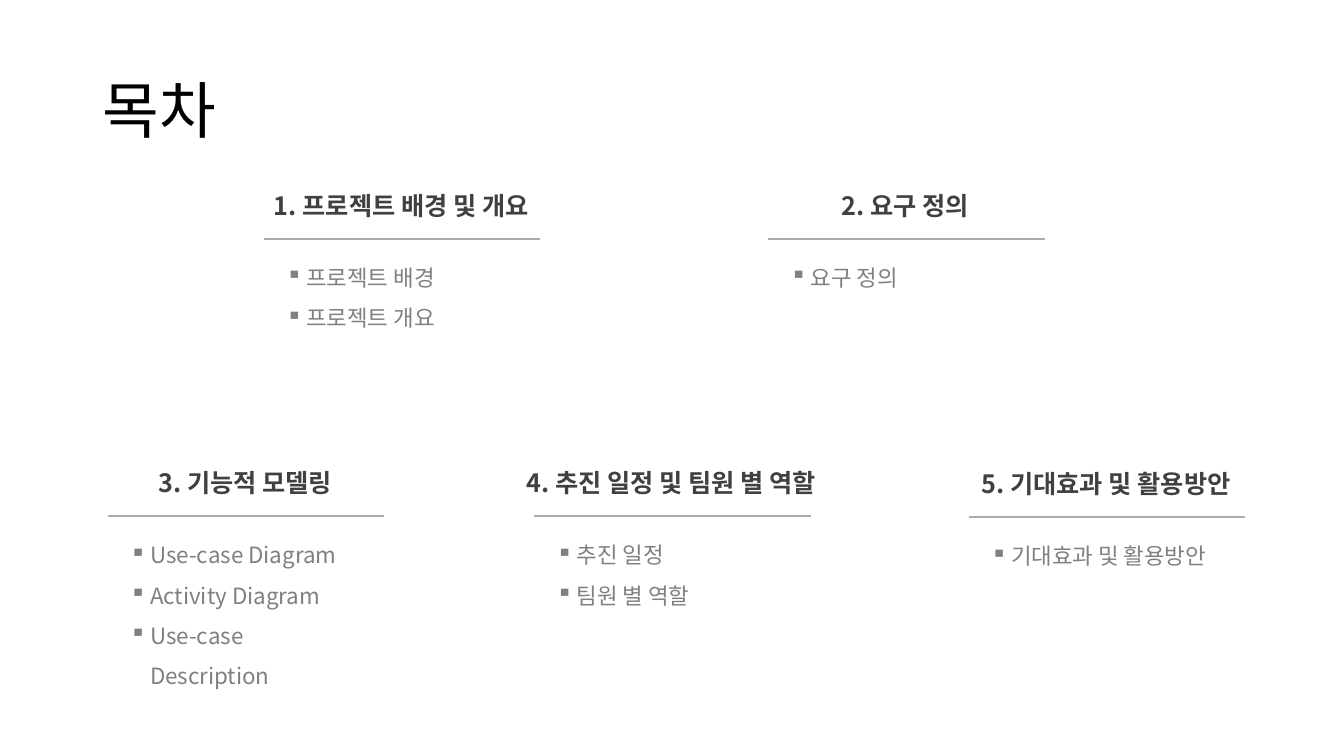
from lxml import etree
from pptx import Presentation
from pptx.dml.color import RGBColor
from pptx.enum.shapes import MSO_CONNECTOR
from pptx.enum.text import MSO_ANCHOR, MSO_AUTO_SIZE, PP_ALIGN
from pptx.oxml.ns import qn
from pptx.util import Inches, Pt

STRAIGHT = MSO_CONNECTOR.STRAIGHT
MIDDLE = MSO_ANCHOR.MIDDLE
GROW = MSO_AUTO_SIZE.SHAPE_TO_FIT_TEXT
LEFT, CENTER = PP_ALIGN.LEFT, PP_ALIGN.CENTER

SECTIONS = [
    (2.37, 1.84, "1. 프로젝트 배경 및 개요", ["프로젝트 배경", "프로젝트 개요"]),
    (7.37, 1.84, "2. 요구 정의", ["요구 정의"]),
    (0.82, 4.59, "3. 기능적 모델링",
     ["Use-case Diagram", "Activity Diagram", "Use-case Description"]),
    (5.05, 4.59, "4. 추진 일정 및 팀원 별 역할", ["추진 일정", "팀원 별 역할"]),
    (9.36, 4.6, "5. 기대효과 및 활용방안", ["기대효과 및 활용방안"]),
]


def rgb(value):
    return RGBColor.from_string(value)


class Deck:
    font = "Noto Sans CJK KR"
    title_color = "000000"
    heading_color = "404040"
    item_color = "808080"
    rule_color = "AFABAB"

    def __init__(self):
        self.prs = Presentation()
        self.prs.slide_width = Inches(13.33)
        self.prs.slide_height = Inches(7.5)
        self.s = self.prs.slides.add_slide(self.prs.slide_layouts[5])

    def run(self, p, text, size, color, bold=False):
        r = p.add_run()
        r.text = text
        r.font.size = Pt(size)
        r.font.name = self.font
        r.font.bold = bold
        r.font.color.rgb = rgb(color)
        ea = etree.SubElement(r.font._element, qn("a:ea"))
        ea.set("typeface", self.font)

    def title(self, text):
        sp = self.s.shapes.title
        sp.left, sp.top = Inches(0.92), Inches(0.4)
        sp.width, sp.height = Inches(11.5), Inches(1.45)
        tf = sp.text_frame
        tf.vertical_anchor = MIDDLE
        p = tf.paragraphs[0]
        p.alignment = LEFT
        p.line_spacing = 0.9
        self.run(p, text, 44, self.title_color)

    def rule(self, shapes, x, y, width):
        line = shapes.add_connector(
            STRAIGHT, Inches(x), Inches(y), Inches(x + width), Inches(y))
        line.line.color.rgb = rgb(self.rule_color)
        line.line.width = Pt(1.5)
        etree.SubElement(line._element.spPr, qn("a:effectLst"))

    def text_box(self, shapes, x, y, width, height):
        sp = shapes.add_textbox(Inches(x), Inches(y), Inches(width), Inches(height))
        tf = sp.text_frame
        tf.word_wrap = True
        tf.auto_size = GROW
        return tf

    def heading(self, shapes, x, y, text):
        p = self.text_box(shapes, x, y, 3.22, 0.4).paragraphs[0]
        p.alignment = CENTER
        self.run(p, text, 18, self.heading_color, bold=True)

    def bullets(self, shapes, x, y, items):
        tf = self.text_box(shapes, x, y, 2.49, 0.46 + 0.4 * (len(items) - 1))
        for i, item in enumerate(items):
            p = tf.add_paragraph() if i else tf.paragraphs[0]
            p.line_spacing = 1.5
            pPr = p._p.get_or_add_pPr()
            pPr.set("marL", str(Inches(0.2)))
            pPr.set("indent", str(-Inches(0.2)))
            etree.SubElement(pPr, qn("a:buChar")).set("char", "▪")
            self.run(p, item, 16, self.item_color)

    def section(self, x, y, heading, items):
        shapes = self.s.shapes.add_group_shape().shapes
        self.rule(shapes, x + 0.25, y + 0.53, 2.74)
        self.heading(shapes, x, y, heading)
        self.bullets(shapes, x + 0.37, y + 0.6, items)


def main():
    deck = Deck()
    deck.title("목차")
    for section in SECTIONS:
        deck.section(*section)
    deck.prs.save("out.pptx")


if __name__ == "__main__":
    main()
